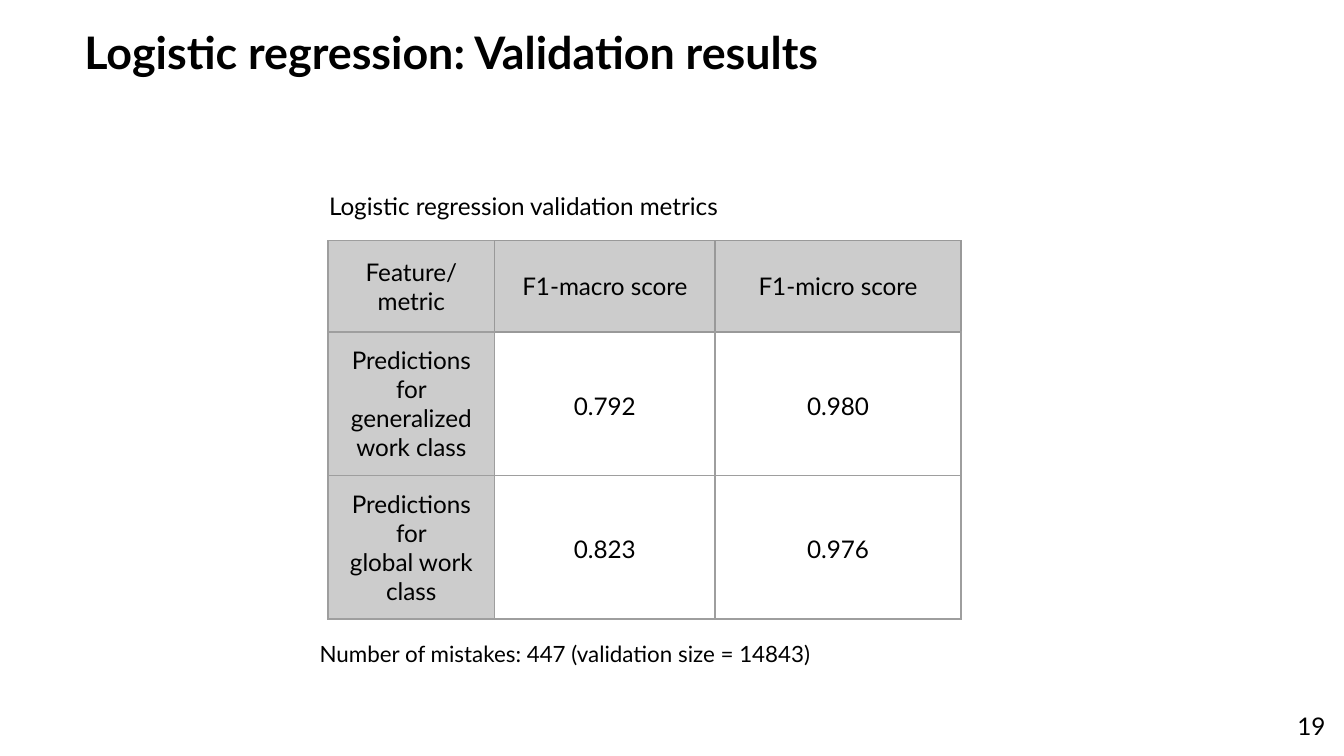
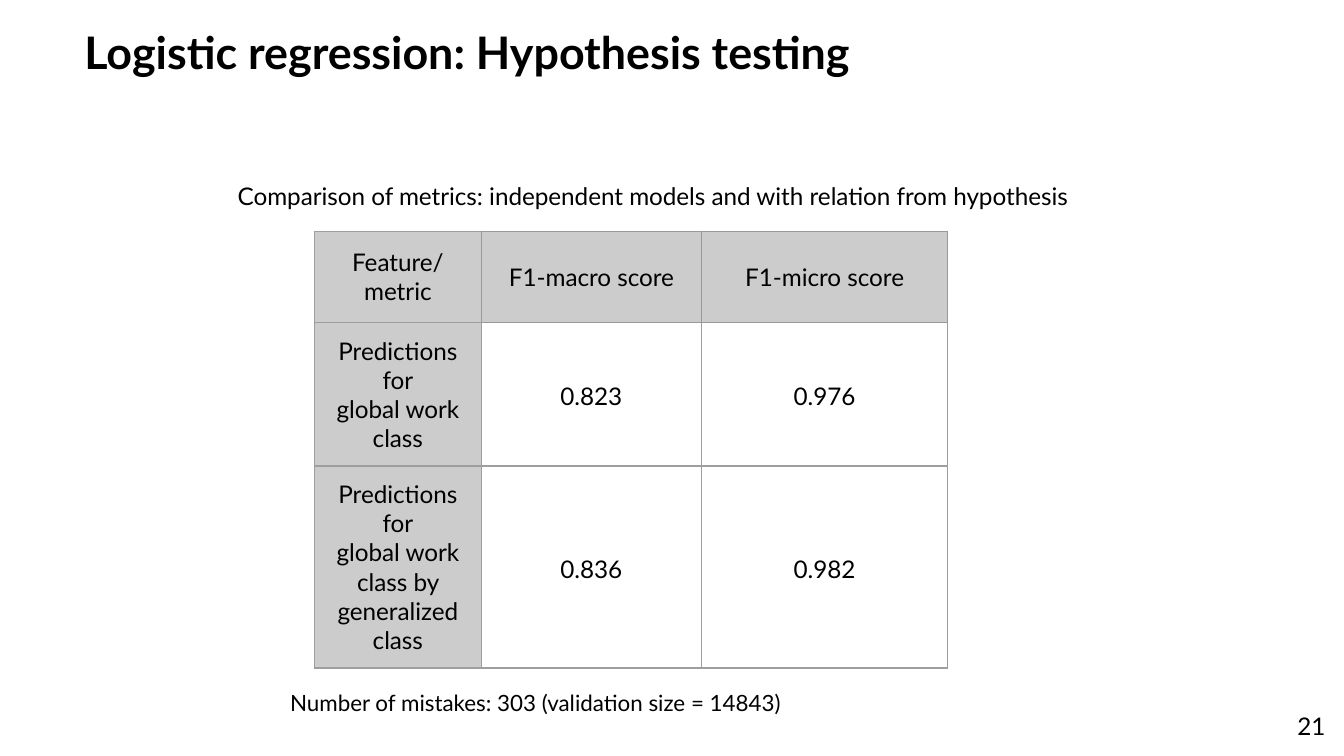
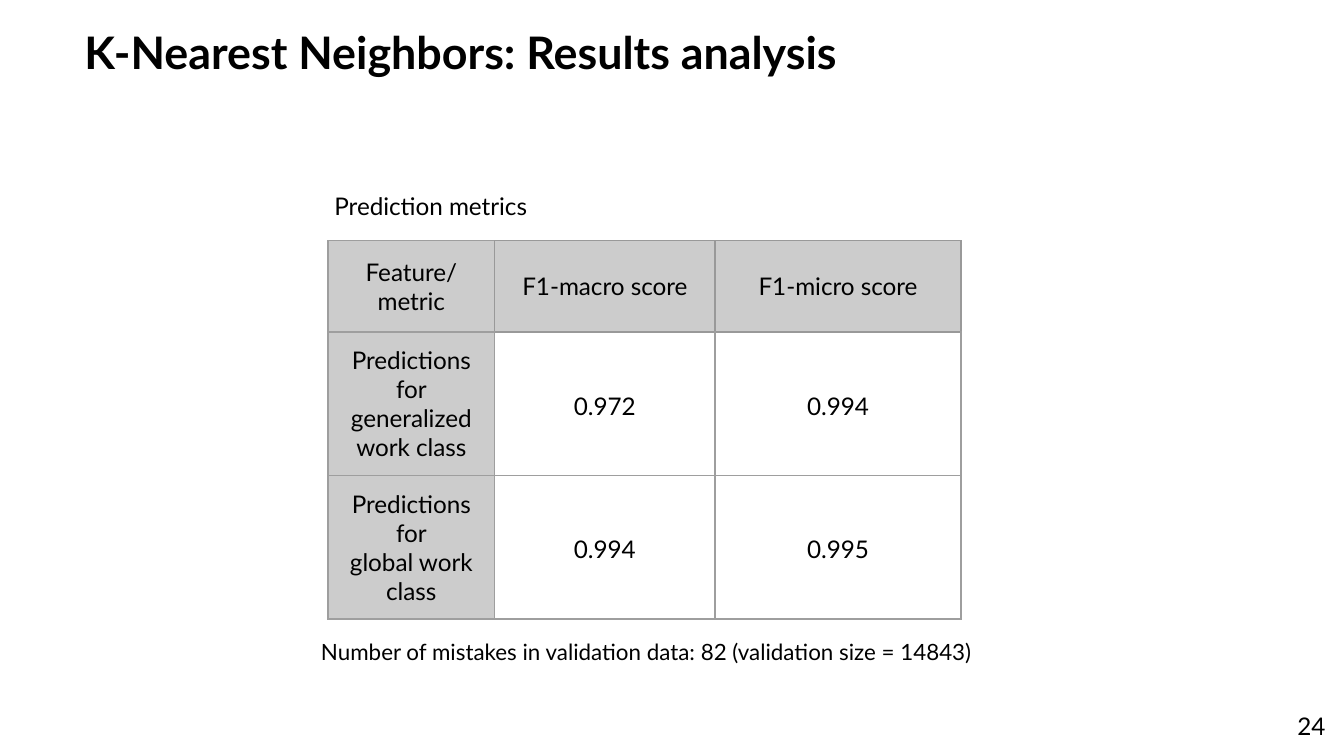
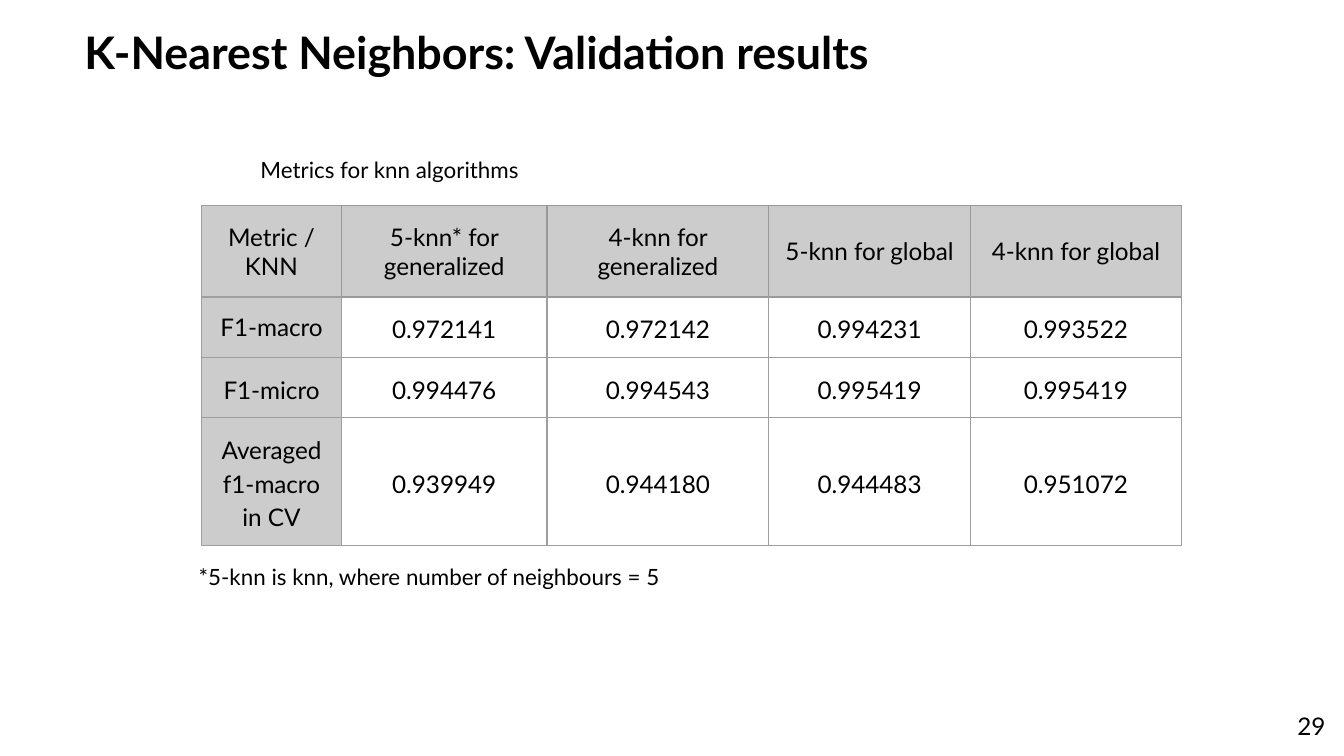
from lxml import etree
from pptx import Presentation
from pptx.dml.color import RGBColor
from pptx.enum.text import MSO_ANCHOR, PP_ALIGN
from pptx.oxml.ns import qn
from pptx.util import Inches, Pt

LEFT, CENTER, RIGHT = PP_ALIGN.LEFT, PP_ALIGN.CENTER, PP_ALIGN.RIGHT
TOP, MIDDLE = MSO_ANCHOR.TOP, MSO_ANCHOR.MIDDLE

COLORS = {"text": "000000", "head": "CCCCCC", "line": "9E9E9E", "head_line": "999999"}
FONT = "Lato"
BORDER = Pt(0.75)
INSET = Inches(0.1)

# Square grid: 100 columns across the slide, 56.25 rows down
WIDTH = Inches(10)
HEIGHT = WIDTH * 9 // 16
UNIT = WIDTH // 100

TITLE_BOX = (5.3, 0.9, 74.6, 5.8)
NUMBER_BOX = (93.6, 51.9, 6, 4.3)
CAPTION_ROWS = 4.7
HEAD_ROWS, BODY_ROWS = 6.8, 4.3
SCORE_SPACING = 1.15

SCORE_COLUMNS = (12.4, 16.4, 18.3)
SCORE_HEAD = ("Feature/ metric", "F1-macro score", "F1-micro score")
GENERALIZED = "Predictions for\ngeneralized work class"
GLOBAL = "Predictions for\nglobal work class"

SLIDES = [
    dict(
        title="Logistic regression: Validation results", number=19,
        caption="Logistic regression validation metrics", caption_left=23.5,
        origin=(24.4, 17.9), columns=SCORE_COLUMNS,
        rows=[SCORE_HEAD, (GENERALIZED, "0.792", "0.980"), (GLOBAL, "0.823", "0.976")],
        note="Number of mistakes: 447 (validation size = 14843)",
        note_box=(22.8, 46.6, 71.6, 4.7),
    ),
    dict(
        title="Logistic regression: Hypothesis testing", number=21,
        caption="Comparison of metrics: independent models and with relation from hypothesis",
        caption_left=16.7, caption_width=83.3,
        origin=(23.4, 17.2), columns=SCORE_COLUMNS,
        rows=[SCORE_HEAD, (GLOBAL, "0.823", "0.976"),
              (GLOBAL + " by generalized class", "0.836", "0.982")],
        note="Number of mistakes: 303 (validation size = 14843)",
        note_box=(20.6, 50.3, 71.6, 4.7),
    ),
    dict(
        title="K-Nearest Neighbors: Results analysis", number=24,
        caption="Prediction metrics", caption_left=23.9,
        origin=(24.4, 17.9), columns=SCORE_COLUMNS,
        rows=[SCORE_HEAD, (GENERALIZED, "0.972", "0.994"), (GLOBAL, "0.994", "0.995")],
        note="Number of mistakes in validation data: 82 (validation size = 14843)",
        note_box=(22.9, 46.5, 65.3, 9.7),
    ),
    dict(
        title="K-Nearest Neighbors: Validation results", number=29,
        caption="Metrics for knn algorithms", caption_left=18.4, caption_size=12,
        origin=(15, 15.3), columns=(10.4, 15.3, 16.5, 15, 15.7), loose_labels=(2, 3),
        rows=[
            ("Metric / KNN", "5-knn* for generalized", "4-knn for generalized",
             "5-knn for global", "4-knn for global"),
            ("F1-macro", "0.972141", "0.972142", "0.994231", "0.993522"),
            ("F1-micro", "0.994476", "0.994543", "0.995419", "0.995419"),
            ("Averaged f1-macro in CV", "0.939949", "0.944180", "0.944483", "0.951072"),
        ],
        note="*5-knn is knn, where number of neighbours = 5",
        note_box=(13.8, 40.9, 86.2, 9.9),
    ),
]


def grid(*lengths):
    return [round(length * UNIT) for length in lengths]


def write_text(frame, text, size=13, bold=False, align=LEFT, spacing=None):
    """Fill a text frame, one paragraph for each line of text."""
    for index, line in enumerate(text.split("\n")):
        para = frame.add_paragraph() if index else frame.paragraphs[0]
        para.alignment = align
        if spacing:
            para.line_spacing = spacing
        span = para.add_run()
        span.text = line
        span.font.name = FONT
        span.font.size = Pt(size)
        span.font.bold = bold
        span.font.color.rgb = RGBColor.from_string(COLORS["text"])


def add_text(page, box, text, anchor=TOP, inset=INSET, **style):
    frame = page.shapes.add_textbox(*grid(*box)).text_frame
    frame.word_wrap = True
    frame.vertical_anchor = anchor
    frame.margin_left = frame.margin_right = INSET
    frame.margin_top = frame.margin_bottom = inset
    write_text(frame, text, **style)


def set_borders(cell, **edges):
    """Draw the cell edges; borders come before the fill in the cell properties."""
    properties = cell._tc.get_or_add_tcPr()
    for index, (side, color) in enumerate(edges.items()):
        line = etree.Element(qn(f"a:ln{side}"), w=str(BORDER))
        fill = etree.SubElement(line, qn("a:solidFill"))
        etree.SubElement(fill, qn("a:srgbClr"), val=COLORS[color])
        properties.insert(index, line)


def style_cell(cell, row, column):
    cell.vertical_anchor = MIDDLE
    cell.margin_left = cell.margin_right = INSET
    cell.margin_top = cell.margin_bottom = INSET
    if row == 0 or column == 0:
        cell.fill.solid()
        cell.fill.fore_color.rgb = RGBColor.from_string(COLORS["head"])
    else:
        cell.fill.background()
    side = "head_line" if row == 0 and column else "line"
    set_borders(
        cell,
        L=side,
        R="head_line" if row == 0 else "line",
        T="head_line" if row < 2 and column else "line",
        B=side,
    )


def add_metrics_table(page, origin, columns, rows, loose_labels=()):
    heights = [HEAD_ROWS] + [BODY_ROWS] * (len(rows) - 1)
    box = grid(*origin, sum(columns), sum(heights))
    table = page.shapes.add_table(len(rows), len(columns), *box).table
    table.first_row = table.horz_banding = False
    for column, width in zip(table.columns, grid(*columns)):
        column.width = width
    for row, height in zip(table.rows, grid(*heights)):
        row.height = height
    for row, values in enumerate(rows):
        for column, value in enumerate(values):
            cell = table.cell(row, column)
            style_cell(cell, row, column)
            loose = row in loose_labels or (row and column)
            write_text(cell.text_frame, value, align=CENTER,
                       spacing=SCORE_SPACING if loose else None)


def add_frame(page, title, number):
    """Title and page number shared by all slides."""
    add_text(page, TITLE_BOX, title, anchor=MIDDLE, inset=INSET // 2, size=24, bold=True)
    add_text(page, NUMBER_BOX, str(number), align=RIGHT)


def add_metrics_slide(deck, title, number, caption, caption_left, origin, columns, rows,
                      note, note_box, caption_width=71.6, caption_size=13, loose_labels=()):
    page = deck.slides.add_slide(deck.slide_layouts[6])
    add_frame(page, title, number)
    # The caption sits directly on top of the table
    caption_box = (caption_left, origin[1] - CAPTION_ROWS, caption_width, CAPTION_ROWS)
    add_text(page, caption_box, caption, size=caption_size)
    add_metrics_table(page, origin, columns, rows, loose_labels)
    add_text(page, note_box, note, size=12)


def main():
    deck = Presentation()
    deck.slide_width, deck.slide_height = WIDTH, HEIGHT
    for content in SLIDES:
        add_metrics_slide(deck, **content)
    deck.save("out.pptx")


if __name__ == "__main__":
    main()
